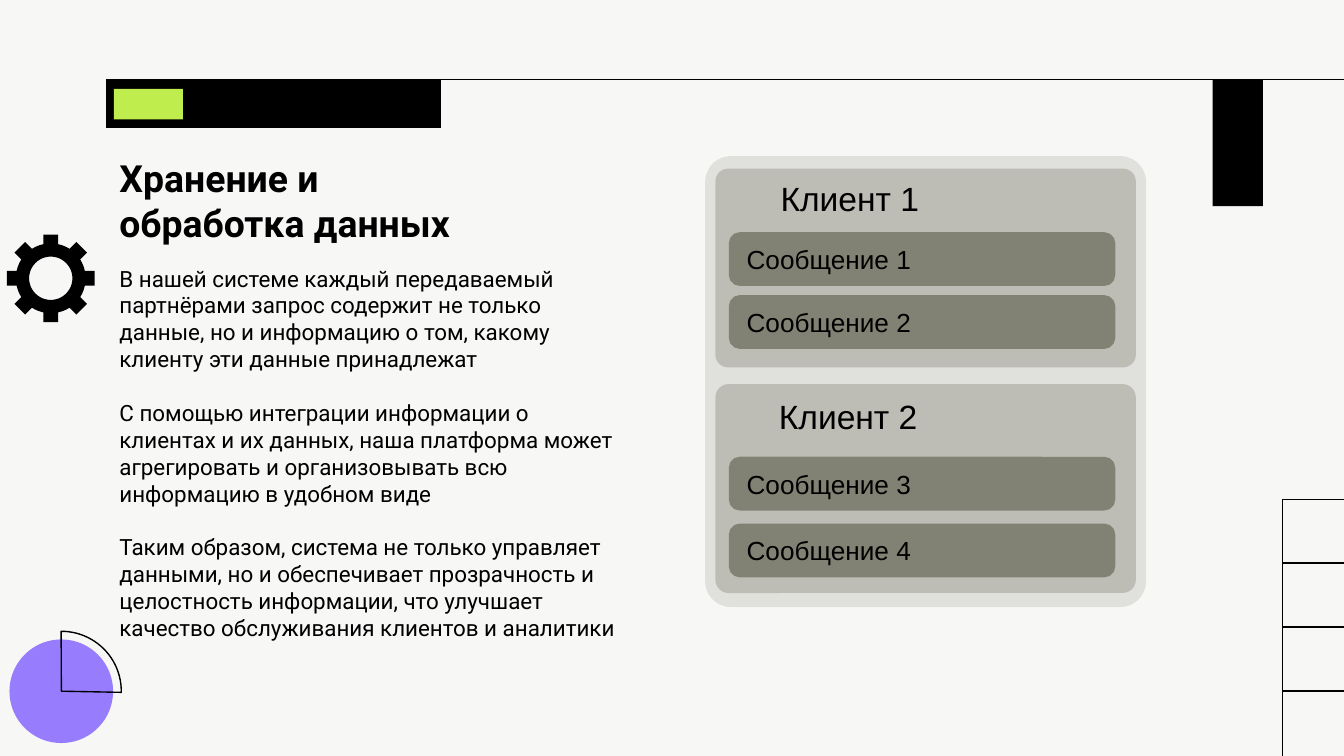
from dataclasses import dataclass
from math import asin, cos, pi, sin

from lxml import etree
from pptx import Presentation
from pptx.dml.color import RGBColor
from pptx.enum.shapes import MSO_CONNECTOR as Connector, MSO_SHAPE as Shape
from pptx.enum.text import MSO_ANCHOR as Anchor, PP_ALIGN as Align
from pptx.oxml.ns import qn
from pptx.util import Pt

WIDTH, HEIGHT = 720, 405


@dataclass(frozen=True)
class Theme:
    background: str = "F7F7F6"
    ink: str = "000000"
    lime: str = "BFED4E"
    violet: str = "977DFE"
    panel: str = "E0E0DC"
    client: str = "BDBDB5"
    message: str = "828274"
    body_font: str = "Roboto"
    diagram_font: str = "Arial"
    title_size: float = 20
    client_size: float = 18
    message_size: float = 14
    body_size: float = 12
    hairline: float = 0.75


class SlideBuilder:
    def __init__(self, page, theme):
        self.page = page
        self.theme = theme
        fill = page.background.fill
        fill.solid()
        fill.fore_color.rgb = RGBColor.from_string(theme.background)

    def paint(self, shape, fill=None, line=None, weight=0.75):
        shape.shadow.inherit = False
        if fill:
            shape.fill.solid()
            shape.fill.fore_color.rgb = RGBColor.from_string(fill)
        else:
            shape.fill.background()
        if line:
            shape.line.color.rgb = RGBColor.from_string(line)
            shape.line.width = Pt(weight)
        else:
            shape.line.fill.background()

    def shape(self, kind, bounds, fill=None, line=None, weight=0.75, adjust=()):
        shape = self.page.shapes.add_shape(kind, *map(Pt, bounds))
        for index, value in enumerate(adjust):
            shape.adjustments[index] = value
        self.paint(shape, fill, line, weight)
        return shape

    def card(self, bounds, color, radius=0.055):
        return self.shape(Shape.ROUNDED_RECTANGLE, bounds, color, color, 2, [radius])

    def line(self, *ends):
        line = self.page.shapes.add_connector(Connector.STRAIGHT, *map(Pt, ends))
        line.line.color.rgb = RGBColor.from_string(self.theme.ink)
        line.line.width = Pt(self.theme.hairline)
        properties = line._element.find(qn("p:spPr"))
        etree.SubElement(properties, qn("a:effectLst"))

    def fill_text(self, frame, texts, font, size, bold=False, gap=0):
        frame.word_wrap = True
        for index, text in enumerate(texts):
            para = frame.add_paragraph() if index else frame.paragraphs[0]
            para.text = text
            para.alignment = Align.LEFT
            if index:
                para.space_before = Pt(gap)
            for span in para.runs:
                span.font.name = font
                span.font.size = Pt(size)
                span.font.bold = bold
                span.font.color.rgb = RGBColor.from_string(self.theme.ink)

    def text(self, bounds, texts, font, size, inset=3.6, anchor=Anchor.TOP, **style):
        frame = self.page.shapes.add_textbox(*map(Pt, bounds)).text_frame
        frame.margin_top = frame.margin_bottom = Pt(inset)
        frame.vertical_anchor = anchor
        self.fill_text(frame, texts, font, size, **style)

    def message(self, bounds, text):
        frame = self.card(bounds, self.theme.message, 0.184).text_frame
        frame.vertical_anchor = Anchor.MIDDLE
        self.fill_text(frame, [text], self.theme.diagram_font, self.theme.message_size)

    def gear(self, x, y, outer, body, hole, tooth, teeth=8):
        def polar(radius, angle):
            return x + radius * cos(angle), y + radius * sin(angle)

        rim = []
        for index in range(teeth):
            middle = 2 * pi * index / teeth
            foot, tip = asin(tooth / body), asin(tooth / outer)
            rim += [polar(body, middle - foot), polar(outer, middle - tip),
                    polar(outer, middle + tip), polar(body, middle + foot)]
            # Follow the round body to the next tooth
            sweep = 2 * pi / teeth - 2 * foot
            rim += [polar(body, middle + foot + sweep * step / 4) for step in (1, 2, 3)]
        bore = [polar(hole, -2 * pi * step / 48) for step in range(48)]

        outline = self.page.shapes.build_freeform(*rim[0], scale=Pt(1))
        # Scale up so that points keep their fractions
        fine = 100
        outline = self.page.shapes.build_freeform(
            *(fine * value for value in rim[0]), scale=Pt(1) / fine)
        for ring in (rim, bore):
            points = [(fine * across, fine * down) for across, down in ring]
            if ring is bore:
                outline.move_to(*points[0])
            outline.add_line_segments(points[1:], close=True)
        self.paint(outline.convert_to_shape(), self.theme.ink)


def main():
    deck = Presentation()
    deck.slide_width, deck.slide_height = Pt(WIDTH), Pt(HEIGHT)
    theme = Theme()
    slide = SlideBuilder(deck.slides.add_slide(deck.slide_layouts[6]), theme)

    # Ruled grid in the corner
    grid_left, grid_top, grid_step = 687, 267.5, 34.2
    for row in range(4):
        level = grid_top + row * grid_step
        slide.line(grid_left, level, WIDTH, level)
    slide.line(grid_left, grid_top, grid_left, HEIGHT)

    # Circle with a quarter outline
    slide.shape(Shape.OVAL, (5.1, 342.6, 55.5, 55.5), theme.violet)
    slide.shape(Shape.PIE, (0.8, 338.2, 64.2, 64.2), line=theme.ink,
                adjust=(161.85, 0.66))

    # Header bars and gear
    rule_top = 42.5
    slide.shape(Shape.RECTANGLE, (56.9, rule_top, 179.3, 26), theme.ink)
    slide.shape(Shape.RECTANGLE, (61.1, 47.6, 36.9, 16.4), theme.lime)
    slide.shape(Shape.RECTANGLE, (649.6, rule_top, 27, 68), theme.ink)
    slide.gear(27.2, 149.1, outer=23.8, body=18.7, hole=11.6, tooth=4)

    # Title and body
    slide.text((56.9, 93.6, 292.3, 44.6), ["Хранение и\vобработка данных"],
               theme.body_font, theme.title_size, 7.2, Anchor.BOTTOM, bold=True)
    slide.text((56.9, 134.6, 284.4, 167), [
        "В нашей системе каждый передаваемый партнёрами запрос содержит не только "
        "данные, но и информацию о том, какому клиенту эти данные принадлежат",
        "С помощью интеграции информации о клиентах и их данных, наша платформа "
        "может агрегировать и организовывать всю информацию в удобном виде",
        "Таким образом, система не только управляет данными, но и обеспечивает "
        "прозрачность и целостность информации, что улучшает качество "
        "обслуживания клиентов и аналитики",
    ], theme.body_font, theme.body_size, 7.2, gap=14.4)
    slide.line(56.9, rule_top, WIDTH, rule_top)

    # Clients: card top, card height, label left, label top, message tops
    slide.card((378.8, 84.6, 234.2, 239.6), theme.panel)
    clients = [
        (91.4, 104.4, 411.1, 91.7, (125.4, 159.1)),
        (206.8, 109.9, 410.2, 208.8, (245.7, 281.5)),
    ]
    number = 0
    for index, (top, height, label_left, label_top, rows) in enumerate(clients, 1):
        slide.card((384.3, top, 223.2, height), theme.client)
        slide.text((label_left, label_top, 162, 29), [f"Клиент {index}"],
                   theme.diagram_font, theme.client_size)
        for row in rows:
            number += 1
            slide.message((391.5, row, 205, 26.8), f"Сообщение {number}")

    deck.save("out.pptx")


if __name__ == "__main__":
    main()
